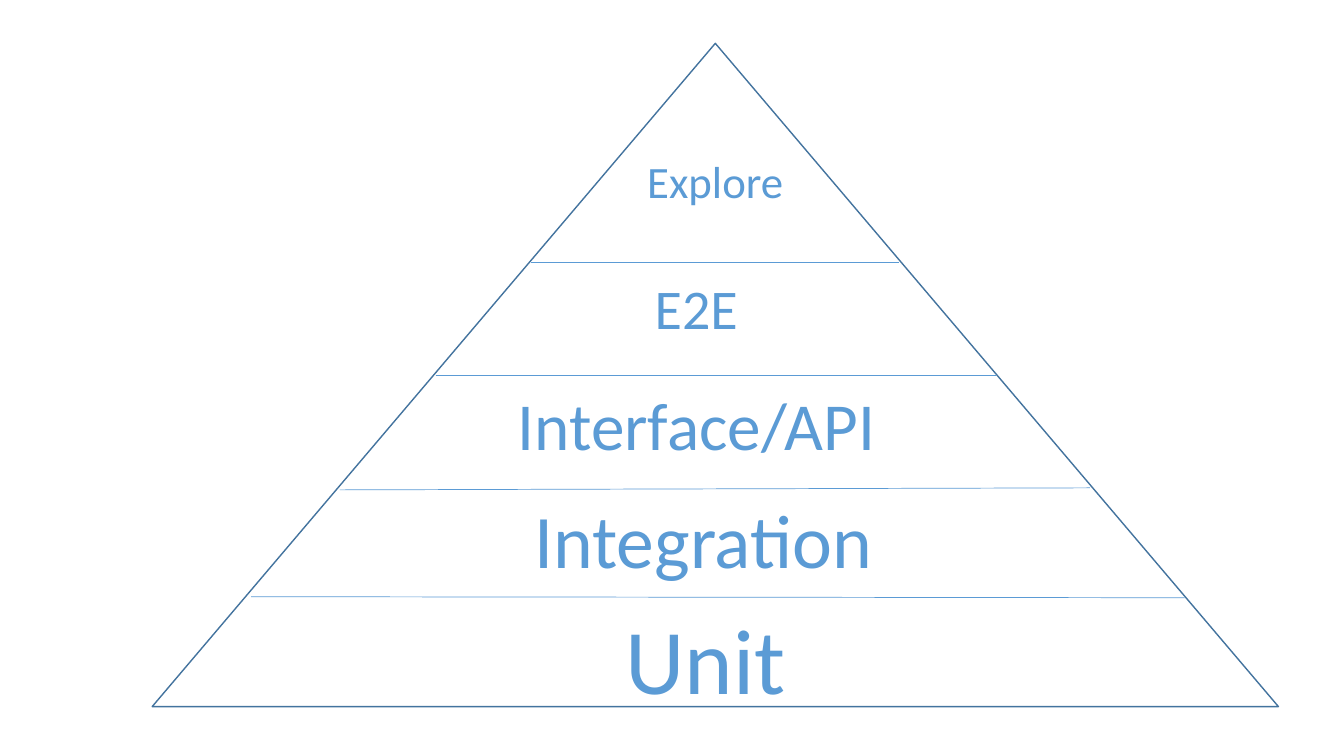
import pptx
import pptx.dml.color
import pptx.enum.shapes
import pptx.enum.text
import pptx.oxml.ns
import pptx.util
from lxml import etree

Inches = pptx.util.Inches
Pt = pptx.util.Pt
RGBColor = pptx.dml.color.RGBColor

WHITE = RGBColor(0xFF, 0xFF, 0xFF)
BLUE = RGBColor(0x5B, 0x9B, 0xD5)
DARK_BLUE = RGBColor(0x43, 0x73, 0x9E)

DIVIDERS = [
    (0.98, 5.49, 10.24, 5.5),
    (1.86, 4.43, 9.3, 4.41),
    (3.76, 2.17, 7.41, 2.17),
    (2.81, 3.29, 8.37, 3.29),
]
LEVELS = [
    ("Unit", 66, 4.59, 5.49, 1.8, 1.21),
    ("Integration", 54, 3.67, 4.41, 3.59, 1.01),
    ("Interface/API", 48, 3.51, 3.32, 3.78, 0.91),
    ("E2E", 40, 4.88, 2.23, 1.03, 0.77),
    ("Explore", 32, 4.8, 1.05, 1.57, 0.64),
]


def add_divider(page, start_x, start_y, end_x, end_y):
    """Draw one thin line between two levels."""
    divider = page.shapes.add_connector(
        pptx.enum.shapes.MSO_CONNECTOR.STRAIGHT,
        Inches(start_x), Inches(start_y), Inches(end_x), Inches(end_y))
    divider.line.color.rgb = BLUE
    divider.line.width = Pt(0.5)
    properties = divider.element.find(pptx.oxml.ns.qn("p:spPr"))
    etree.SubElement(properties, pptx.oxml.ns.qn("a:effectLst"))


def add_label(page, text, size, left, top, width, height):
    """Write the centred name of one level."""
    box = page.shapes.add_textbox(
        Inches(left), Inches(top), Inches(width), Inches(height))
    frame = box.text_frame
    frame.word_wrap = False
    frame.auto_size = pptx.enum.text.MSO_AUTO_SIZE.SHAPE_TO_FIT_TEXT
    para = frame.paragraphs[0]
    para.alignment = pptx.enum.text.PP_ALIGN.CENTER
    span = para.add_run()
    span.text = text
    span.font.name = "Calibri"
    span.font.size = Pt(size)
    span.font.color.rgb = BLUE


def add_pyramid(page, left, top, width, height):
    """Build the test pyramid with its dividers and labels in the given box."""
    pyramid = page.shapes.add_shape(
        pptx.enum.shapes.MSO_SHAPE.ISOSCELES_TRIANGLE,
        Inches(left), Inches(top), Inches(width), Inches(height))
    pyramid.shadow.inherit = False
    pyramid.fill.solid()
    pyramid.fill.fore_color.rgb = WHITE
    pyramid.line.color.rgb = DARK_BLUE
    pyramid.line.width = Pt(1)
    for start_x, start_y, end_x, end_y in DIVIDERS:
        add_divider(page, left + start_x, top + start_y, left + end_x, top + end_y)
    for text, size, label_x, label_y, label_width, label_height in LEVELS:
        add_label(page, text, size, left + label_x, top + label_y,
                  label_width, label_height)


def main():
    """Create the deck and save it."""
    deck = pptx.Presentation()
    deck.slide_width = Inches(13.33)
    deck.slide_height = Inches(7.5)
    page = deck.slides.add_slide(deck.slide_layouts[6])
    add_pyramid(page, 1.51, 0.43, 11.17, 6.58)
    deck.save("out.pptx")


if __name__ == "__main__":
    main()
